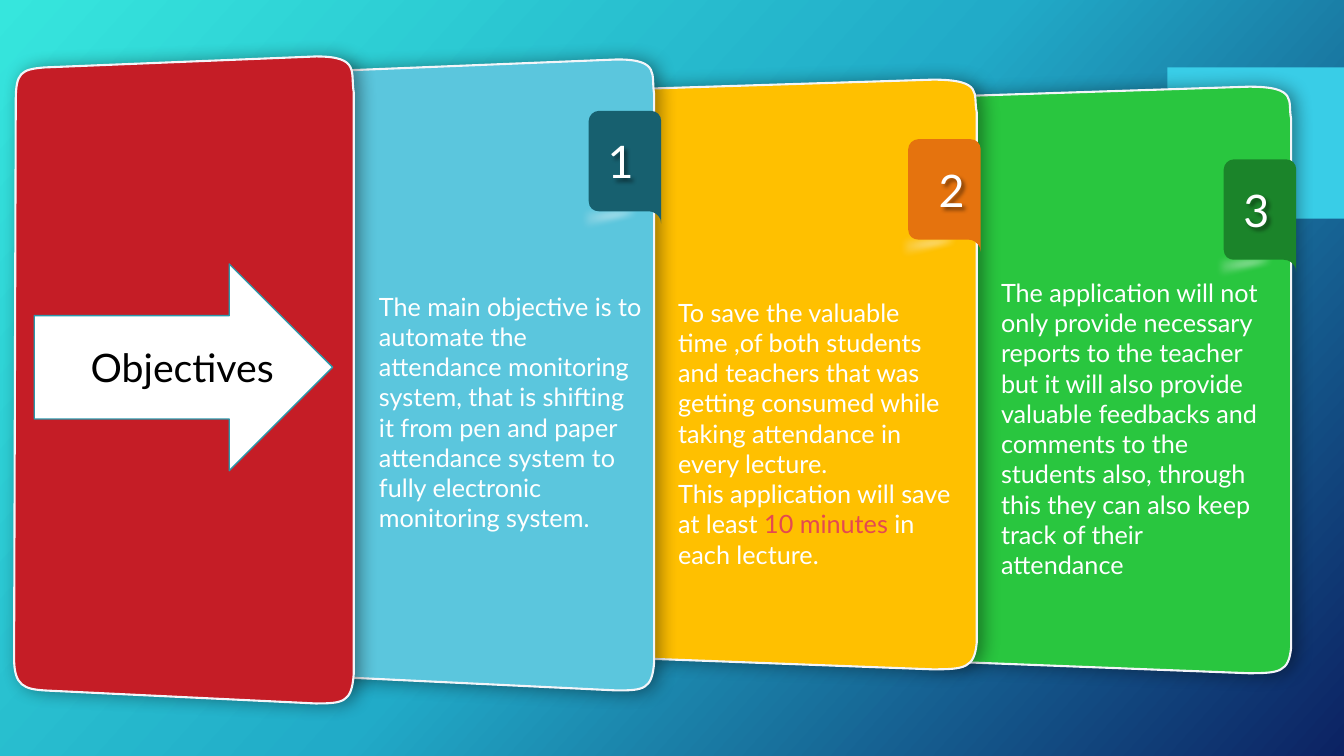
from lxml import etree
from pptx import Presentation
from pptx import util as u
from pptx.dml import color
from pptx.enum import shapes, text
from pptx.oxml import ns

FONT = "Lato"
COLORS = {
    "white": "FFFFFF", "black": "000000", "edge": "F4F5F9", "corner": "39CDE7",
    "red": "C51D26", "blue": "5BC6DD", "yellow": "FFC000", "green": "29C63F",
    "blue tab": "17606F", "yellow tab": "E5730E", "green tab": "1B842A",
    "arrow line": "2A98AB", "highlight": "E44951", "streak end": "ECEDF0",
    "sky": "36E6DD", "sea": "21ABC8", "night": "0C2263",
}
PANEL_OUTLINE = [
    (0.005, 0.069),
    (0.005, 0.025, 0.02, 0.02, 0.09, 0.017),
    (0.89, 0),
    (1.02, 0, 0.99, 0.025, 1, 0.055),
    (1, 0.955),
    (0.994, 0.998, 0.97, 1, 0.888, 1),
    (0.094, 0.98),
    (0.03, 0.978, 0, 0.973, 0, 0.93),
]
TAB_OUTLINE = [
    (0.14, 0), (0.86, 0),
    (0.94, 0, 1, 0.04, 1, 0.09),
    (1, 1), (0.99, 0.96),
    (0.96, 0.92, 0.9, 0.89, 0.83, 0.89),
    (0.14, 0.89),
    (0.07, 0.89, 0, 0.86, 0, 0.8),
    (0, 0.09),
    (0, 0.04, 0.07, 0, 0.14, 0),
]
TAB_SIZE = (51.8, 80.6)
CARDS = [
    {"hue": "green", "box": (649.4, 61.9, 272.9, 419), "tab": (874.1, 113.8),
     "number": "3", "shift": 0.5, "body": (707.8, 194.4, 202.3, 247),
     "paragraphs": [[("The application will not only provide necessary reports to the teacher "
                      "but it will also provide valuable feedbacks and comments to the students "
                      "also, through this they can also keep track of their attendance", "white")]]},
    {"hue": "yellow", "box": (414, 56.9, 283.7, 421.2), "tab": (648.7, 99.4),
     "number": "2", "shift": 8.2, "body": (477.2, 208.5, 219.6, 203.8),
     "paragraphs": [[("To save the valuable time ,of both students and teachers that was getting "
                      "consumed while taking attendance in every lecture.", "white")],
                    [("This application will save at least ", "white"),
                     ("10 minutes", "highlight"), (" in each lecture.", "white")]]},
    {"hue": "blue", "box": (229.7, 42.5, 237.6, 450.7), "tab": (420.5, 79.2),
     "number": "1", "shift": 0, "body": (263.5, 204.2, 204.5, 181.4),
     "paragraphs": [[("The main objective is to automate the attendance monitoring system, that "
                      "is shifting it from pen and paper attendance system to fully electronic "
                      "monitoring system.", "white")]]},
]


def rgb(name):
    return color.RGBColor.from_string(COLORS[name])


def add_color(parent, name, alpha):
    node = etree.SubElement(parent, ns.qn("a:srgbClr"), val=COLORS[name])
    etree.SubElement(node, ns.qn("a:alpha"), val=str(alpha * 1000))


def set_gradient(owner, fill, stops, angle):
    fill.gradient()
    gradient = owner.element.find(".//" + ns.qn("a:gradFill"))
    stop_list = gradient.find(ns.qn("a:gsLst"))
    for stop in list(stop_list):
        stop_list.remove(stop)
    for position, name, alpha in stops:
        stop = etree.SubElement(stop_list, ns.qn("a:gs"), pos=str(position * 1000))
        add_color(stop, name, alpha)
    gradient.find(ns.qn("a:lin")).set("ang", str(angle * 60000))


def get_effects(shape):
    shape.shadow.inherit = False
    return shape.element.spPr.find(ns.qn("a:effectLst"))


def add_shadow(shape, blur, distance, angle, alpha):
    shadow = etree.SubElement(get_effects(shape), ns.qn("a:outerShdw"),
                              blurRad=str(u.Pt(blur)), dist=str(u.Pt(distance)),
                              dir=str(angle * 60000), algn="tl", rotWithShape="0")
    add_color(shadow, "black", alpha)


def paint(shape, fill, line=None, width=1):
    shape.shadow.inherit = False
    shape.fill.solid()
    shape.fill.fore_color.rgb = rgb(fill)
    if line:
        shape.line.color.rgb = rgb(line)
        shape.line.width = u.Pt(width)
    else:
        shape.line.fill.background()


def add_outline(slide, box, outline):
    left, top, width, height = box
    ends = [(u.Pt(left + part[-2] * width), u.Pt(top + part[-1] * height)) for part in outline]
    builder = slide.shapes.build_freeform(*ends[0])
    builder.add_line_segments(ends[1:] + ends[:1], close=True)
    shape = builder.convert_to_shape()
    segments = list(shape.element.iter(ns.qn("a:lnTo")))
    for segment, part in zip(segments, outline[1:]):
        if len(part) == 6:
            curve = etree.Element(ns.qn("a:cubicBezTo"))
            for x, y in zip(part[::2], part[1::2]):
                etree.SubElement(curve, ns.qn("a:pt"), x=str(u.Pt(x * width)),
                                 y=str(u.Pt(y * height)))
            segment.getparent().replace(segment, curve)
    return shape


def place(shape, box):
    shape.left, shape.top, shape.width, shape.height = (u.Pt(value) for value in box)


def write_run(paragraph, words, *, size, hue):
    run = paragraph.add_run()
    run.text = words
    run.font.name = FONT
    run.font.size = u.Pt(size)
    run.font.bold = False
    run.font.color.rgb = rgb(hue)


def write_text(shape, paragraphs, *, size, align=text.PP_ALIGN.LEFT):
    frame = shape.text_frame
    frame.word_wrap = True
    frame.auto_size = text.MSO_AUTO_SIZE.NONE
    frame.vertical_anchor = text.MSO_ANCHOR.TOP
    for index, runs in enumerate(paragraphs):
        paragraph = frame.add_paragraph() if index else frame.paragraphs[0]
        paragraph.alignment = align
        paragraph.space_before = u.Pt(0)
        paragraph.line_spacing = 1.0
        properties = paragraph._p.get_or_add_pPr()
        properties.set("marL", "0")
        properties.set("indent", "0")
        etree.SubElement(properties, ns.qn("a:buNone"))
        for words, hue in runs:
            write_run(paragraph, words, size=size, hue=hue)


def add_panel(slide, box, hue):
    panel = add_outline(slide, box, PANEL_OUTLINE)
    paint(panel, hue, "edge", 1.5)
    add_shadow(panel, 13, 3, 0, 40)


def add_tab(slide, left, top, hue, number, shift):
    streak = slide.shapes.add_shape(shapes.MSO_SHAPE.RIGHT_TRIANGLE, 0, 0, 0, 0)
    place(streak, (left + 22.6, top + 36.7, 22.3, 83.5))
    streak.rotation = 90
    paint(streak, "white")
    set_gradient(streak, streak.fill, [(45, "white", 100), (100, "streak end", 0)], 90)
    etree.SubElement(get_effects(streak), ns.qn("a:softEdge"), rad=str(u.Pt(5)))
    paint(add_outline(slide, (left, top, *TAB_SIZE), TAB_OUTLINE), hue)
    label = slide.shapes.add_textbox(0, 0, 0, 0)
    place(label, (left - 3.4 + shift, top + 13, 52.6, 46))
    write_text(label, [[(number, "white")]], size=32, align=text.PP_ALIGN.CENTER)
    add_shadow(label, 3, 3, 45, 45)


def add_card(slide, card, body):
    add_panel(slide, card["box"], card["hue"])
    add_tab(slide, *card["tab"], card["hue"] + " tab", card["number"], card["shift"])
    place(body, card["body"])
    write_text(body, card["paragraphs"], size=18)


def add_heading(slide, box, title):
    left, top, width, height = box
    add_panel(slide, box, "red")
    arrow = slide.shapes.add_shape(shapes.MSO_SHAPE.RIGHT_ARROW, 0, 0, 0, 0)
    place(arrow, (left + 14.4, top + 148.3, 213.1, 147.6))
    paint(arrow, "white", "arrow line", 1)
    place(title, (left + 47.5, top + 201.6, 160.6, 41))
    write_text(title, [[("Objectives", "black")]], size=28)


def add_backdrop(slide):
    set_gradient(slide, slide.background.fill,
                 [(0, "sky", 100), (50, "sea", 100), (100, "night", 100)], 42)
    corner = slide.shapes.add_shape(shapes.MSO_SHAPE.RECTANGLE, 0, 0, 0, 0)
    place(corner, (833.8, 48.2, 126.2, 108))
    paint(corner, "corner")


def main():
    presentation = Presentation()
    presentation.slide_width, presentation.slide_height = u.Pt(960), u.Pt(540)
    slide = presentation.slides.add_slide(presentation.slide_layouts[4])
    title, *bodies = slide.placeholders
    spare = bodies.pop()
    spare.element.getparent().remove(spare.element)
    add_backdrop(slide)
    for card, body in zip(CARDS, bodies):
        add_card(slide, card, body)
    add_heading(slide, (10.1, 40.3, 242.6, 462.2), title)
    for placeholder in (title, *bodies):
        slide.shapes._spTree.append(placeholder.element)
    presentation.save("out.pptx")


if __name__ == "__main__":
    main()
